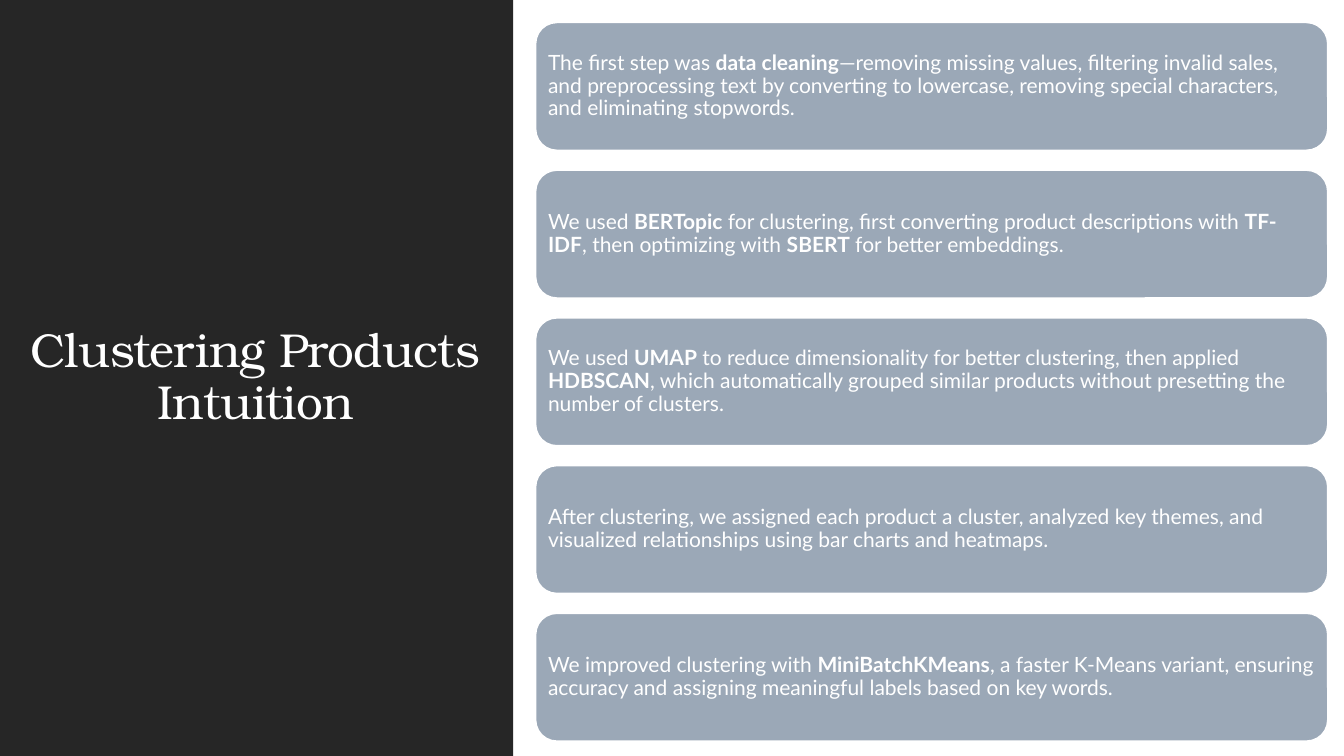
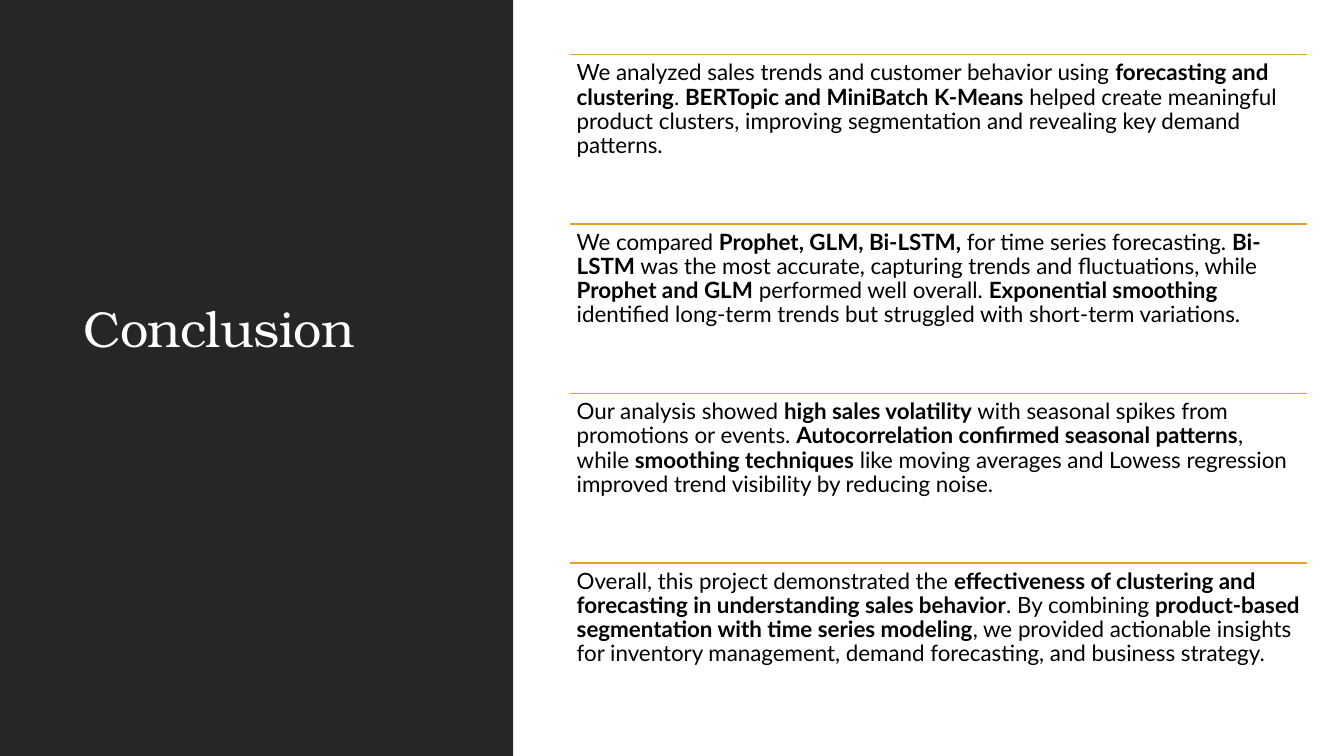
from dataclasses import dataclass

from lxml import etree
from pptx import Presentation
from pptx.dml.color import RGBColor as Rgb
from pptx.enum import shapes as sh, text as tx
from pptx.oxml import ns
from pptx.util import Pt


@dataclass(frozen=True)
class Theme:
    dark: Rgb = Rgb.from_string("262626")
    card: Rgb = Rgb.from_string("9BA8B7")
    rule: Rgb = Rgb.from_string("E6A02E")
    white: Rgb = Rgb.from_string("FFFFFF")
    black: Rgb = Rgb.from_string("000000")
    head: str = "TeX Gyre Bonum"
    body: str = "Lato"
    big: int = 36
    mid: int = 34
    note: int = 16
    small: int = 15
    line: float = 1.25


@dataclass(frozen=True)
class Box:
    left: float
    top: float
    width: float
    height: float

    def args(self):
        return Pt(self.left), Pt(self.top), Pt(self.width), Pt(self.height)

    def down(self, step: float, count: int) -> "Box":
        return Box(self.left, self.top + step * count, self.width, self.height)


T = Theme()
WIDE, HIGH = 960, 540
BAND = Box(0, 0, 366.5, HIGH)
CARD, CARD_STEP = Box(382.5, 16, 566, 91.5), 105.5
NOTE, NOTE_STEP = Box(407, 39, 526.5, 121), 121

# Text: ** switches bold on and off
STEPS = [
    "The first step was **data cleaning**—removing missing values, filtering "
    "invalid sales, and preprocessing text by converting to lowercase, removing "
    "special characters, and eliminating stopwords.",
    "We used **BERTopic** for clustering, first converting product descriptions "
    "with **TF-IDF**, then optimizing with **SBERT** for better embeddings.",
    "We used **UMAP** to reduce dimensionality for better clustering, then applied "
    "**HDBSCAN**, which automatically grouped similar products without presetting "
    "the number of clusters.",
    "After clustering, we assigned each product a cluster, analyzed key themes, "
    "and visualized relationships using bar charts and heatmaps.",
    "We improved clustering with **MiniBatchKMeans**, a faster K-Means variant, "
    "ensuring accuracy and assigning meaningful labels based on key words.",
]
POINTS = [
    "We analyzed sales trends and customer behavior using **forecasting and "
    "clustering**. **BERTopic and MiniBatch K-Means** helped create meaningful "
    "product clusters, improving segmentation and revealing key demand patterns.",
    "We compared **Prophet, GLM, Bi-LSTM,** for time series forecasting. "
    "**Bi-LSTM** was the most accurate, capturing trends and fluctuations, while "
    "**Prophet and GLM** performed well overall. **Exponential smoothing** "
    "identified long-term trends but struggled with short-term variations.",
    "Our analysis showed **high sales volatility** with seasonal spikes from "
    "promotions or events. **Autocorrelation confirmed seasonal patterns**, while "
    "**smoothing techniques** like moving averages and Lowess regression improved "
    "trend visibility by reducing noise.",
    "Overall, this project demonstrated the **effectiveness of clustering and "
    "forecasting in understanding sales behavior**. By combining **product-based "
    "segmentation with time series modeling**, we provided actionable insights for "
    "inventory management, demand forecasting, and business strategy.",
]


def put(frame, words: str, *, size: float, color: Rgb, font: str = T.body,
        align=tx.PP_ALIGN.LEFT, anchor=tx.MSO_ANCHOR.TOP,
        inset=(7.2, 3.6), track: int = 0) -> None:
    """Write one paragraph; track is in hundredths of a point."""
    frame.word_wrap = True
    frame.auto_size = tx.MSO_AUTO_SIZE.NONE
    frame.vertical_anchor = anchor
    frame.margin_left = frame.margin_right = Pt(inset[0])
    frame.margin_top = frame.margin_bottom = Pt(inset[1])
    para = frame.paragraphs[0]
    para.alignment, para.line_spacing = align, 0.9
    for part, chunk in enumerate(words.split("**")):
        for row, piece in enumerate(chunk.split("\n")):
            if row:
                para.add_line_break()
            if not piece:
                continue
            run = para.add_run()
            run.text = piece
            run.font.name, run.font.size = font, Pt(size)
            run.font.color.rgb, run.font.bold = color, part % 2 == 1
            if track:
                run.font._element.set("spc", str(track))


def block(slide, kind, box: Box, fill: Rgb):
    shape = slide.shapes.add_shape(kind, *box.args())
    shape.shadow.inherit = False
    shape.fill.solid()
    shape.fill.fore_color.rgb = fill
    shape.line.fill.background()
    return shape


def head(slide, words: str, box: Box, size: float, align) -> None:
    title = slide.shapes.title
    title.left, title.top, title.width, title.height = box.args()
    put(title.text_frame, words, size=size, color=T.white, font=T.head,
        align=align, anchor=tx.MSO_ANCHOR.BOTTOM, track=-50)


def card(slide, box: Box, words: str) -> None:
    shape = block(slide, sh.MSO_SHAPE.ROUNDED_RECTANGLE, box, T.card)
    shape.line.color.rgb, shape.line.width = T.white, Pt(T.line)
    put(shape.text_frame, words, size=T.small, color=T.white,
        anchor=tx.MSO_ANCHOR.MIDDLE, inset=(4.5, 4.5))


def note(slide, box: Box, words: str) -> None:
    left, top, width, _ = box.args()
    rule = slide.shapes.add_connector(sh.MSO_CONNECTOR.STRAIGHT,
                                      left, top, left + width, top)
    rule.line.color.rgb, rule.line.width = T.rule, Pt(T.line)
    etree.SubElement(rule.element.spPr, ns.qn("a:effectLst"))
    label = slide.shapes.add_textbox(*box.args())
    put(label.text_frame, words, size=T.note, color=T.black, inset=(5, 5))


def main() -> None:
    deck = Presentation()
    deck.slide_width, deck.slide_height = Pt(WIDE), Pt(HIGH)
    base = deck.slide_layouts.get_by_name("Title Only")

    # Steps as cards
    slide = deck.slides.add_slide(base)
    # The dark band moves to the layout, behind both titles
    band = block(slide, sh.MSO_SHAPE.RECTANGLE, BAND, T.dark)
    base.shapes.element.insert(2, band.element)
    head(slide, "Clustering Products\nIntuition", Box(11.5, 152.5, 342, 158),
         T.mid, tx.PP_ALIGN.CENTER)
    for i, words in enumerate(STEPS):
        card(slide, CARD.down(CARD_STEP, i), words)

    # Conclusions under rules
    slide = deck.slides.add_slide(base)
    head(slide, "Conclusion", Box(52.5, 95, 277, 165), T.big, tx.PP_ALIGN.LEFT)
    for i, words in enumerate(POINTS):
        note(slide, NOTE.down(NOTE_STEP, i), words)

    deck.save("out.pptx")


if __name__ == "__main__":
    main()
